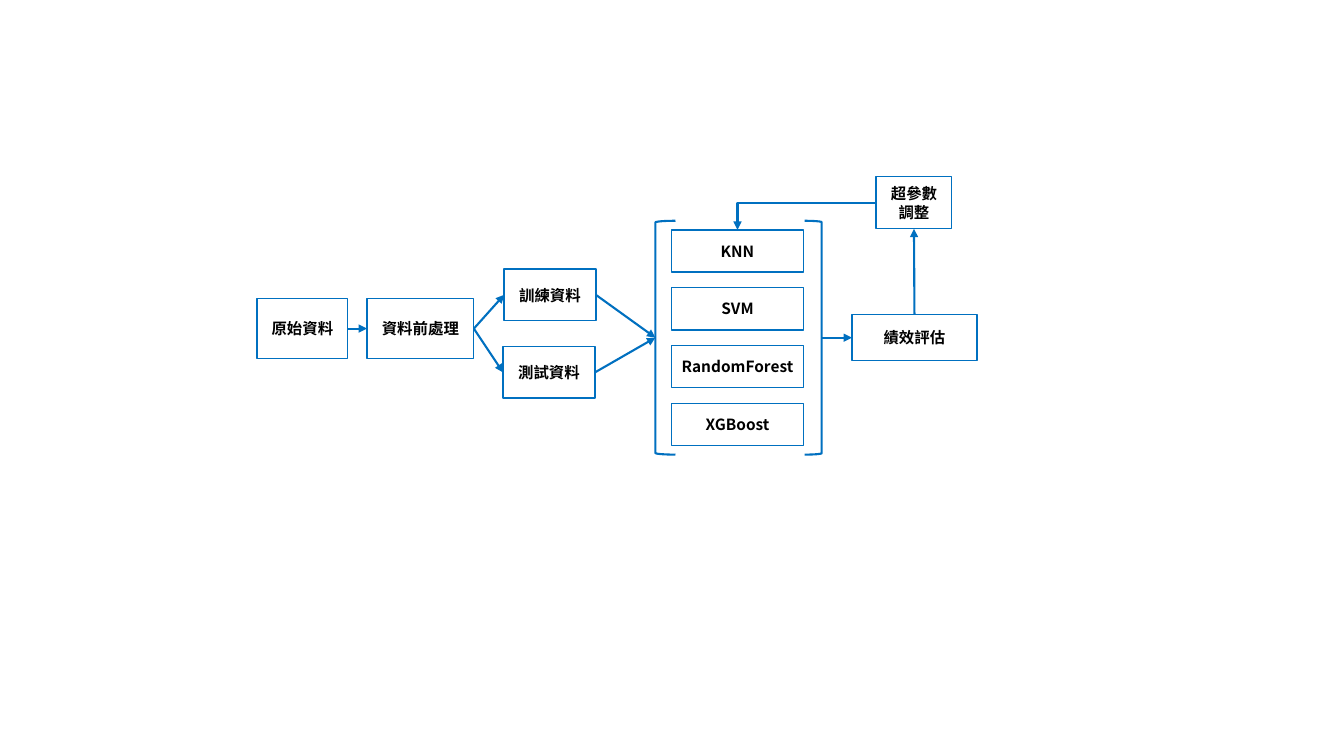
from dataclasses import dataclass
from typing import Optional

import pptx
import pptx.dml.color
import pptx.enum.dml
import pptx.enum.shapes
import pptx.enum.text
import pptx.oxml
import pptx.oxml.ns
import pptx.util
from pptx.util import Inches

BLUE, BLACK, WHITE = "0070C0", "000000", "FFFFFF"
FONT = "Noto Sans CJK SC"
TOP, LEFT, BOTTOM, RIGHT = range(4)
SHAPE = pptx.enum.shapes.MSO_SHAPE
LINK = pptx.enum.shapes.MSO_CONNECTOR


@dataclass
class Box:
    text: str
    x: float
    y: float
    w: float
    h: float
    fill: Optional[str] = None


@dataclass
class End:
    """An arrow end: on the side of a named box, or at a free point."""
    box: str = ""
    side: int = 0
    x: float = 0
    y: float = 0


@dataclass
class Arrow:
    begin: End
    end: End
    bent: bool = False


@dataclass
class Bracket:
    kind: SHAPE
    x: float
    w: float


MODELS = ["KNN", "SVM", "RandomForest", "XGBoost"]
MODEL_TOP, MODEL_PITCH = 2.28, 1.72 / 3

BOXES = [
    Box("原始資料", 2.55, 2.96, 0.9, 0.6),
    Box("資料前處理", 3.64, 2.96, 1.06, 0.6),
    Box("測試資料", 4.99, 3.44, 0.91, 0.51),
    Box("訓練資料", 5, 2.67, 0.91, 0.51),
    Box("績效評估", 8.45, 3.12, 1.24, 0.46),
    Box("超參數調整", 8.69, 1.75, 0.75, 0.52, WHITE),
] + [Box(name, 6.66, MODEL_TOP + i * MODEL_PITCH, 1.31, 0.42)
     for i, name in enumerate(MODELS)]

BRACKET_TOP, BRACKET_H = 2.19, 2.32
BRACKETS = [Bracket(SHAPE.LEFT_BRACKET, 6.5, 0.2),
            Bracket(SHAPE.RIGHT_BRACKET, 7.98, 0.17)]
MODELS_IN = End(x=6.5, y=3.35)
MODELS_OUT = End(x=8.15, y=3.35)

ARROWS = [
    Arrow(End("原始資料", RIGHT), End("資料前處理", LEFT)),
    Arrow(End("資料前處理", RIGHT), End("訓練資料", LEFT)),
    Arrow(End("資料前處理", RIGHT), End("測試資料", LEFT)),
    Arrow(End("測試資料", RIGHT), MODELS_IN),
    Arrow(End("訓練資料", RIGHT), MODELS_IN),
    Arrow(MODELS_OUT, End("績效評估", LEFT)),
    Arrow(End("績效評估", TOP), End("超參數調整", BOTTOM)),
    Arrow(End("超參數調整", LEFT), End("KNN", TOP), bent=True),
]


def rgb(color: str) -> pptx.dml.color.RGBColor:
    return pptx.dml.color.RGBColor.from_string(color)


def set_line(line, width: float) -> None:
    line.color.rgb = rgb(BLUE)
    line.width = pptx.util.Pt(width)


def add_box(slide, box: Box):
    sp = slide.shapes.add_shape(SHAPE.RECTANGLE, Inches(box.x), Inches(box.y),
                                Inches(box.w), Inches(box.h))
    sp.shadow.inherit = False
    set_line(sp.line, 1)
    if box.fill:
        sp.fill.solid()
        sp.fill.fore_color.rgb = rgb(box.fill)
    else:
        sp.fill.background()
    tf = sp.text_frame
    tf.text = box.text
    tf.word_wrap = True
    tf.margin_left = tf.margin_right = Inches(0.08)
    tf.vertical_anchor = pptx.enum.text.MSO_ANCHOR.MIDDLE
    p = tf.paragraphs[0]
    p.alignment = pptx.enum.text.PP_ALIGN.CENTER
    font = p.runs[0].font
    font.name, font.size, font.bold = FONT, pptx.util.Pt(11), True
    font.color.rgb = rgb(BLACK)
    ea = pptx.oxml.parse_xml(
        f'<a:ea {pptx.oxml.ns.nsdecls("a")} typeface="{FONT}"/>')
    p.runs[0]._r.get_or_add_rPr().append(ea)
    return sp


def add_bracket(slide, bracket: Bracket) -> None:
    sp = slide.shapes.add_shape(bracket.kind, Inches(bracket.x), Inches(BRACKET_TOP),
                                Inches(bracket.w), Inches(BRACKET_H))
    sp.shadow.inherit = False
    sp.fill.background()
    set_line(sp.line, 1.5)


def add_arrow(slide, arrow: Arrow, shapes: dict) -> None:
    begin, end = arrow.begin, arrow.end
    kind = LINK.ELBOW if arrow.bent else LINK.STRAIGHT
    cxn = slide.shapes.add_connector(kind, Inches(begin.x), Inches(begin.y),
                                     Inches(end.x), Inches(end.y))
    if begin.box:
        cxn.begin_connect(shapes[begin.box], begin.side)
    if end.box:
        cxn.end_connect(shapes[end.box], end.side)
    set_line(cxn.line, 1.5)
    ns = pptx.oxml.ns.nsdecls("a")
    sp_pr = cxn._element.spPr
    if arrow.bent:  # a single corner
        sp_pr.find(pptx.oxml.ns.qn("a:prstGeom")).set("prst", "bentConnector2")
    cxn.line._get_or_add_ln().append(
        pptx.oxml.parse_xml(f'<a:tailEnd {ns} type="triangle"/>'))
    sp_pr.append(pptx.oxml.parse_xml(f"<a:effectLst {ns}/>"))


def main() -> None:
    prs = pptx.Presentation()
    prs.slide_width, prs.slide_height = Inches(13.33), Inches(7.5)
    slide = prs.slides.add_slide(prs.slide_layouts[6])
    shapes = {box.text: add_box(slide, box) for box in BOXES}
    for bracket in BRACKETS:
        add_bracket(slide, bracket)
    for arrow in ARROWS:
        add_arrow(slide, arrow, shapes)
    prs.save("out.pptx")


if __name__ == "__main__":
    main()
